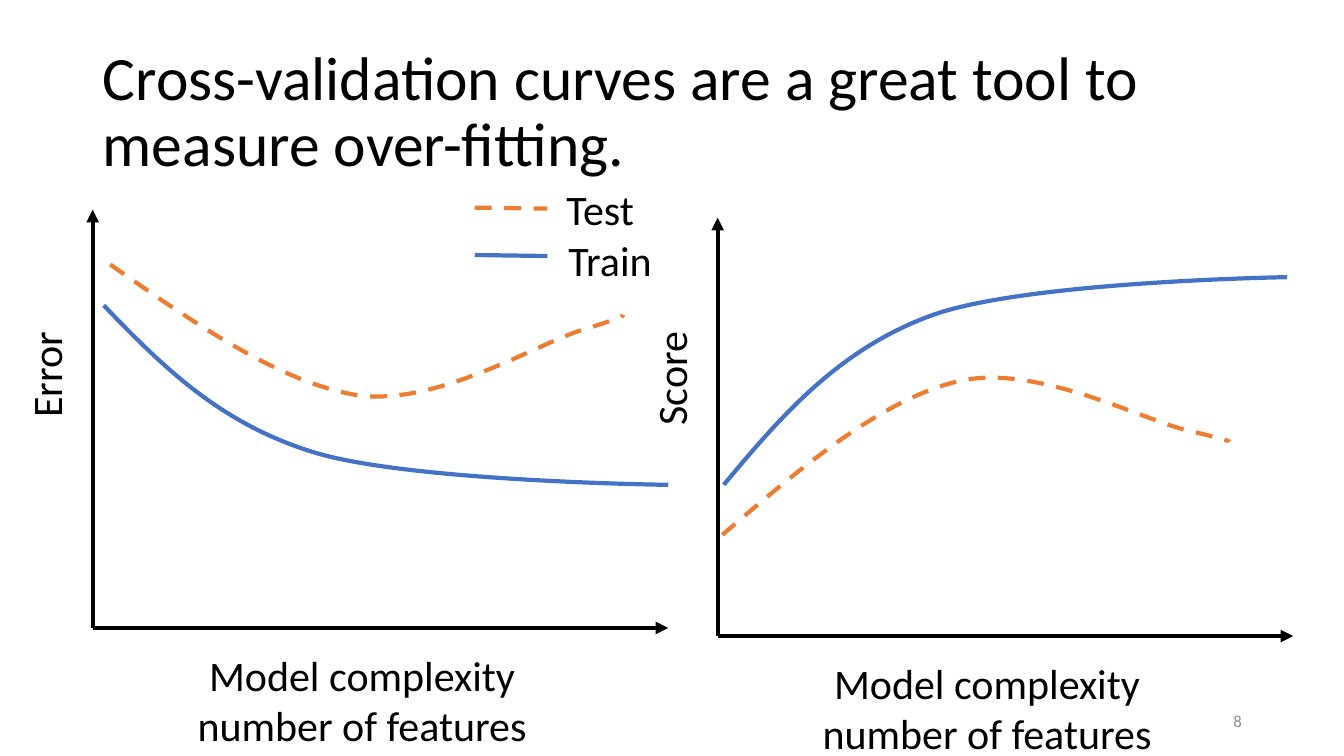
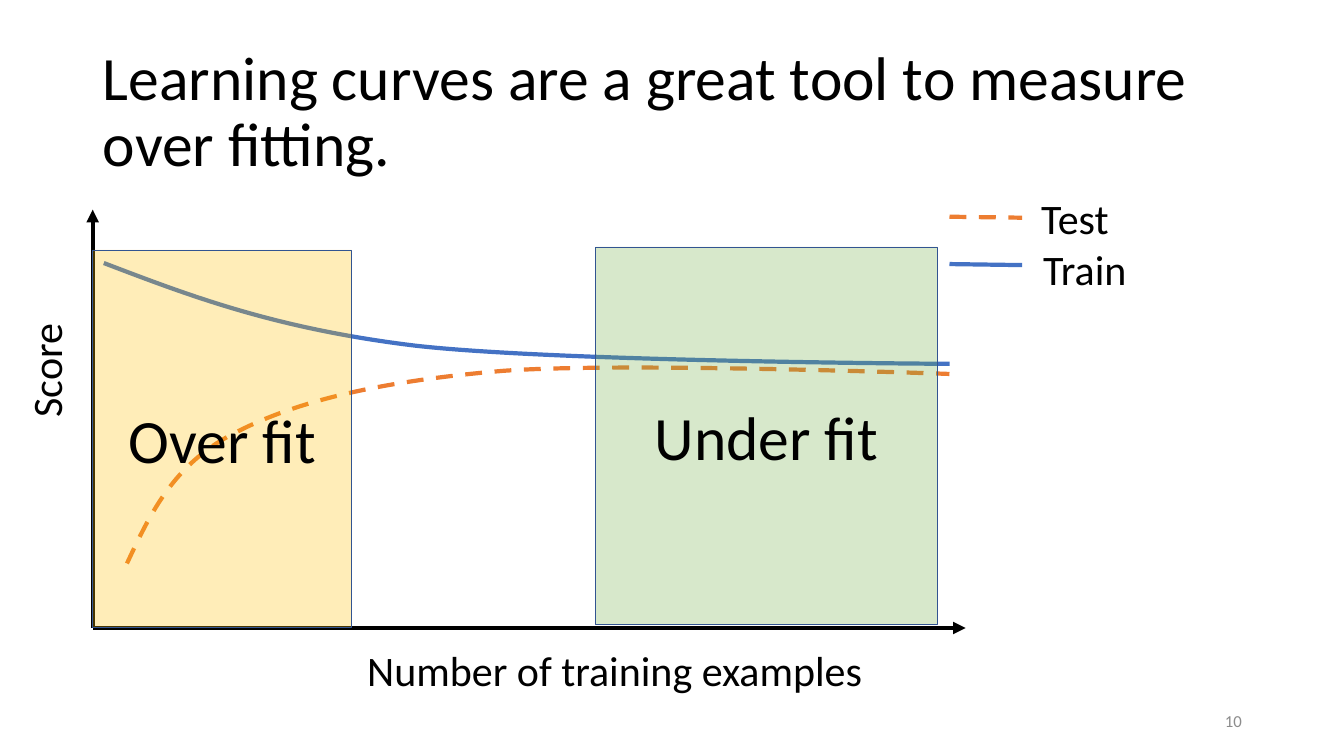
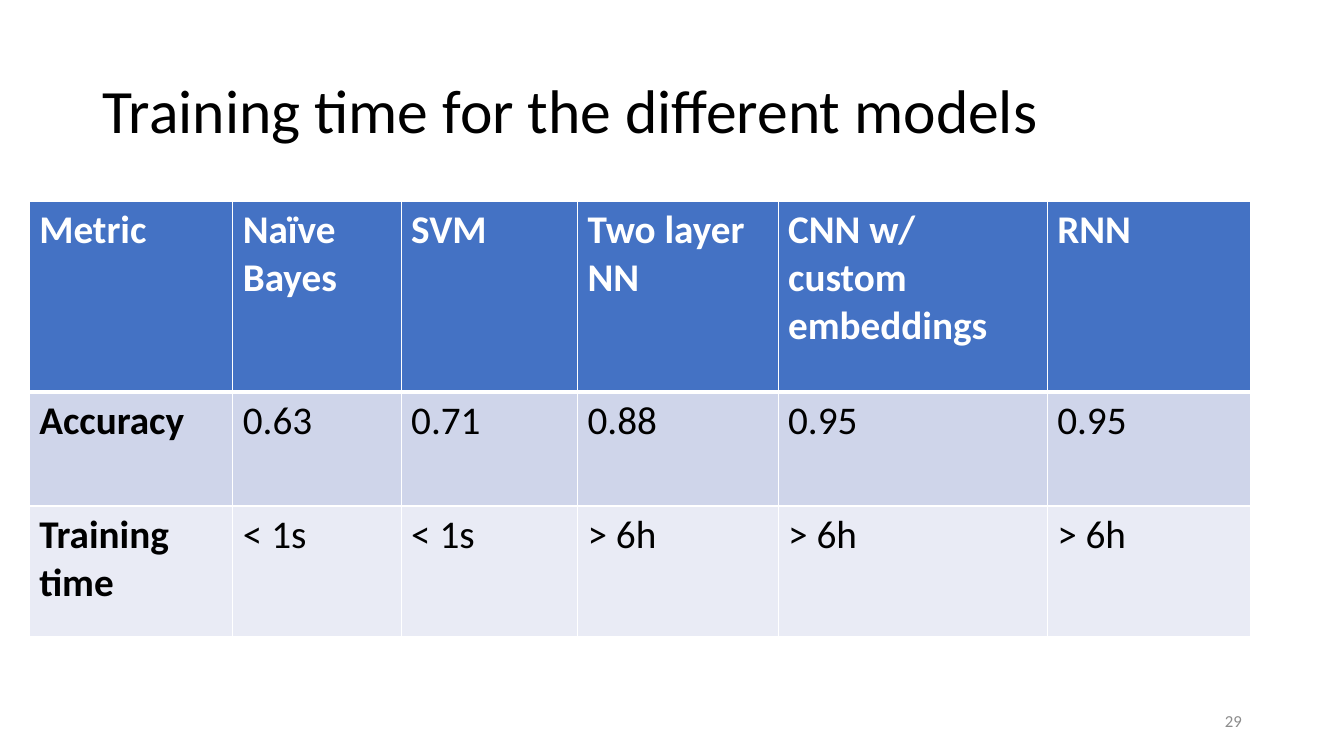
from dataclasses import dataclass
from typing import Any, Union

from lxml import etree
from pptx import Presentation
from pptx.dml.color import RGBColor
from pptx.dml.line import LineFormat
from pptx.enum.dml import MSO_LINE
from pptx.enum.shapes import MSO_CONNECTOR, MSO_SHAPE
from pptx.enum.text import MSO_ANCHOR, MSO_AUTO_SIZE, PP_ALIGN
from pptx.oxml.ns import qn
from pptx.shapes.connector import Connector
from pptx.shapes.shapetree import GroupShapes, SlideShapes
from pptx.slide import Slide
from pptx.table import _Cell as Cell
from pptx.text.text import TextFrame
from pptx.util import Emu, Pt

EMU_PER_PX = 9144
SLIDE_SIZE = (Emu(12192000), Emu(6858000))
TITLE_ONLY = 5

BLACK = RGBColor(0x00, 0x00, 0x00)
WHITE = RGBColor(0xFF, 0xFF, 0xFF)
GREY = RGBColor(0x8C, 0x8C, 0x8C)
BLUE = RGBColor(0x44, 0x72, 0xC4)
ORANGE = RGBColor(0xED, 0x7D, 0x31)
NAVY = RGBColor(0x32, 0x54, 0x91)
GOLD = RGBColor(0xFF, 0xC0, 0x00)
GREEN = RGBColor(0x70, 0xAD, 0x47)
BAND_DARK = RGBColor(0xCF, 0xD5, 0xEA)
BAND_LIGHT = RGBColor(0xE9, 0xEB, 0xF5)

LEFT, CENTER, RIGHT = PP_ALIGN.LEFT, PP_ALIGN.CENTER, PP_ALIGN.RIGHT
MIDDLE = MSO_ANCHOR.MIDDLE
GROW, NO_FIT = MSO_AUTO_SIZE.SHAPE_TO_FIT_TEXT, MSO_AUTO_SIZE.NONE
STRAIGHT, RECTANGLE = MSO_CONNECTOR.STRAIGHT, MSO_SHAPE.RECTANGLE
DASH = MSO_LINE.DASH

BIG = {"name": "Calibri", "size": Pt(44)}
LABEL = {"name": "Calibri", "size": Pt(30)}
CELL = {"name": "Calibri", "size": Pt(28)}
NUMBER = {"name": "Calibri", "size": Pt(12)}

Shapes = Union[SlideShapes, GroupShapes]
Point = tuple[int, int]
Box = tuple[int, int, int, int]


@dataclass(frozen=True)
class Series:
    name: str
    color: RGBColor
    dashed: bool = False


@dataclass(frozen=True)
class Curve:
    """A start point, then groups of three Bezier points, before rotation."""
    series: Series
    start: Point
    points: list[Point]
    rotation: float = 0


@dataclass(frozen=True)
class Axes:
    origin: Point
    width: int
    y_title: str
    x_title: list[str]
    x_title_offset: Point = (11, 16)


@dataclass(frozen=True)
class Zone:
    text: str
    box: Box
    color: RGBColor


TEST = Series("Test", ORANGE, dashed=True)
TRAIN = Series("Train", BLUE)
COMPLEXITY = ["Model complexity ", "number of features "]

VALIDATION_CHARTS = [
    (Axes((92, 623), 571, "Error", COMPLEXITY), [
        Curve(TEST, (102, 295), [(194, 343), (287, 391), (365, 392),
                                 (444, 391), (534, 317), (575, 299),
                                 (617, 280), (613, 279), (613, 279)], 7.4),
        Curve(TRAIN, (103, 303), [(159, 361), (216, 419), (309, 448),
                                  (402, 478), (663, 481), (663, 481)]),
    ]),
    (Axes((712, 631), 571, "Score", COMPLEXITY), [
        Curve(TEST, (702, 478), [(794, 428), (886, 379), (965, 378),
                                 (1044, 378), (1135, 455), (1176, 474),
                                 (1217, 493), (1213, 493), (1213, 493)], 347.9),
        Curve(TRAIN, (718, 481), [(774, 414), (831, 347), (924, 313),
                                  (1017, 279), (1277, 275), (1277, 275)]),
    ]),
]
LEARNING_AXES = Axes((92, 623), 866, "Score",
                     ["Number of training examples"], (257, 11))
LEARNING_TRAIN = Curve(TRAIN, (103, 261), [(187, 293), (272, 326), (412, 343),
                                           (552, 359), (942, 361), (942, 361)])
LEARNING_TEST = Curve(TEST, (126, 559), [(149, 510), (172, 460), (234, 429),
                                         (296, 397), (380, 378), (498, 368),
                                         (616, 359), (942, 371), (942, 371)])
ZONES = [
    Zone("Over fit", (92, 248, 257, 374), GOLD),
    Zone("Under fit", (591, 245, 339, 374), GREEN),
]

COLUMN_WIDTHS = [202, 167, 175, 199, 267, 202]
ROW_HEIGHTS = [189, 113, 130]
ROW_FILLS = [BLUE, BAND_DARK, BAND_LIGHT]
RESULTS = [
    ["Metric", "Naïve Bayes", "SVM", "Two layer NN",
     "CNN w/ custom embeddings", "RNN"],
    ["Accuracy", "0.63", "0.71", "0.88", "0.95", "0.95"],
    ["Training time", "< 1s", "< 1s", "> 6h", "> 6h", "> 6h"],
]


def px(value: int) -> Emu:
    return Emu(value * EMU_PER_PX)


def scaled(lengths: tuple[int, ...]) -> list[Emu]:
    return [px(n) for n in lengths]


def write(tf: TextFrame, lines: list[str], fmt: dict[str, Any],
          color: RGBColor = BLACK, align: PP_ALIGN = LEFT) -> None:
    for i, line in enumerate(lines):
        p = tf.add_paragraph() if i else tf.paragraphs[0]
        p.alignment = align
        r = p.add_run()
        r.text = line
        for name, value in fmt.items():
            setattr(r.font, name, value)
        r.font.color.rgb = color


def add_label(shapes: Shapes, lines: list[str], box: Box,
              align: PP_ALIGN = LEFT, rotation: int = 0) -> None:
    sp = shapes.add_textbox(*scaled(box))
    sp.rotation = rotation
    tf = sp.text_frame
    tf.word_wrap = True
    tf.auto_size = GROW
    if align == LEFT:
        tf.margin_right = 0
    write(tf, lines, LABEL, align=align)


def set_line(line: LineFormat, color: RGBColor, dashed: bool = False) -> None:
    line.color.rgb = color
    line.width = Pt(3)
    if dashed:
        line.dash_style = DASH


def add_line(shapes: Shapes, start: Point, end: Point, color: RGBColor,
             dashed: bool = False) -> Connector:
    line = shapes.add_connector(STRAIGHT, *scaled(start + end))
    set_line(line.line, color, dashed)
    etree.SubElement(line.element.spPr, qn("a:effectLst"))
    return line


def add_axes(slide: Slide, axes: Axes) -> None:
    x, y = axes.origin
    group = slide.shapes.add_group_shape()
    for end in ((x, y - 415), (x + axes.width, y)):
        line = add_line(group.shapes, axes.origin, end, BLACK)
        ln = line.element.spPr.find(qn("a:ln"))
        etree.SubElement(ln, qn("a:tailEnd"), type="triangle")
    add_label(slide.shapes, [axes.y_title], (x - 103, y - 286, 113, 61),
              rotation=270)
    dx, dy = axes.x_title_offset
    height = 11 + 50 * len(axes.x_title)
    add_label(slide.shapes, axes.x_title, (x + dx, y + dy, 522, height), CENTER)


def add_curve(slide: Slide, curve: Curve) -> None:
    """Build a freeform on the anchors, then bend its segments."""
    builder = slide.shapes.build_freeform(*scaled(curve.start))
    builder.add_line_segments([scaled(p) for p in curve.points[2::3]],
                              close=False)
    sp = builder.convert_to_shape()
    segments = list(sp.element.spPr.iter(qn("a:lnTo")))
    for i, segment in enumerate(segments):
        segment.tag = qn("a:cubicBezTo")
        for j, (x, y) in enumerate(curve.points[3 * i:3 * i + 2]):
            segment.insert(j, etree.Element(qn("a:pt"), x=str(px(x) - sp.left),
                                            y=str(px(y) - sp.top)))
    sp.rotation = curve.rotation
    sp.shadow.inherit = False
    sp.fill.background()
    set_line(sp.line, curve.series.color, curve.series.dashed)


def add_legend(slide: Slide, x: int, y: int) -> None:
    shapes = slide.shapes.add_group_shape().shapes
    for series, line_y in ((TEST, y), (TRAIN, y + 47)):
        add_line(shapes, (x, line_y), (x + 72, line_y + 1),
                 series.color, series.dashed)
    add_label(shapes, [TRAIN.name], (x + 83, y + 22, 113, 61))
    add_label(shapes, [TEST.name], (x + 81, y - 29, 116, 61))


def add_zone(slide: Slide, zone: Zone) -> None:
    sp = slide.shapes.add_shape(RECTANGLE, *scaled(zone.box))
    sp.shadow.inherit = False
    sp.fill.solid()
    sp.fill.fore_color.rgb = zone.color
    color = sp.element.spPr.find(qn("a:solidFill")).find(qn("a:srgbClr"))
    etree.SubElement(color, qn("a:alpha"), val="28000")
    sp.line.color.rgb = NAVY
    sp.line.width = Pt(0.5)
    sp.text_frame.vertical_anchor = MIDDLE
    write(sp.text_frame, [zone.text], BIG, align=CENTER)


def set_borders(cell: Cell, top: int, bottom: int) -> None:
    """Draw white cell borders; top and bottom widths are in points."""
    tc_pr = cell._tc.get_or_add_tcPr()
    for side, width in (("L", 1), ("R", 1), ("T", top), ("B", bottom)):
        ln = etree.SubElement(tc_pr, qn(f"a:ln{side}"), w=str(Pt(width)))
        fill = etree.SubElement(ln, qn("a:solidFill"))
        etree.SubElement(fill, qn("a:srgbClr"), val=str(WHITE))


def add_results_table(slide: Slide) -> None:
    box = (29, 200, sum(COLUMN_WIDTHS), sum(ROW_HEIGHTS))
    table = slide.shapes.add_table(len(RESULTS), len(COLUMN_WIDTHS),
                                   *scaled(box)).table
    for column, width in zip(table.columns, COLUMN_WIDTHS):
        column.width = px(width)
    for i, (values, height, fill) in enumerate(
            zip(RESULTS, ROW_HEIGHTS, ROW_FILLS)):
        table.rows[i].height = px(height)
        for j, value in enumerate(values):
            cell = table.cell(i, j)
            set_borders(cell, top=3 if i == 1 else 1, bottom=3 if i == 0 else 1)
            cell.fill.solid()
            cell.fill.fore_color.rgb = fill
            write(cell.text_frame, [value], CELL | {"bold": i == 0 or j == 0},
                  BLACK if i else WHITE)


def add_slide(prs: Presentation, title: str, number: int) -> Slide:
    slide = prs.slides.add_slide(prs.slide_layouts[TITLE_ONLY])
    sp = slide.shapes.title
    sp.left, sp.top, sp.width, sp.height = scaled((92, 40, 1150, 145))
    tf = sp.text_frame
    tf.word_wrap = True
    tf.auto_size = NO_FIT
    tf.vertical_anchor = MIDDLE
    write(tf, [title], BIG)
    tf.paragraphs[0].line_spacing = 0.9

    sp = slide.shapes.add_textbox(*scaled((942, 695, 300, 40)))
    sp.text_frame.word_wrap = True
    sp.text_frame.vertical_anchor = MIDDLE
    write(sp.text_frame, [str(number)], NUMBER, GREY, RIGHT)
    return slide


def main() -> None:
    prs = Presentation()
    prs.slide_width, prs.slide_height = SLIDE_SIZE

    slide = add_slide(prs, "Cross-validation curves are a great tool to "
                           "measure over-fitting.", 8)
    for axes, curves in VALIDATION_CHARTS:
        add_axes(slide, axes)
        for curve in curves:
            add_curve(slide, curve)
    add_legend(slide, 471, 206)

    slide = add_slide(prs, "Learning curves are a great tool to measure "
                           "over fitting.", 10)
    add_axes(slide, LEARNING_AXES)
    add_curve(slide, LEARNING_TRAIN)
    add_legend(slide, 942, 215)
    add_curve(slide, LEARNING_TEST)
    for zone in ZONES:
        add_zone(slide, zone)

    slide = add_slide(prs, "Training time for the different models", 29)
    add_results_table(slide)

    prs.save("out.pptx")


if __name__ == "__main__":
    main()
